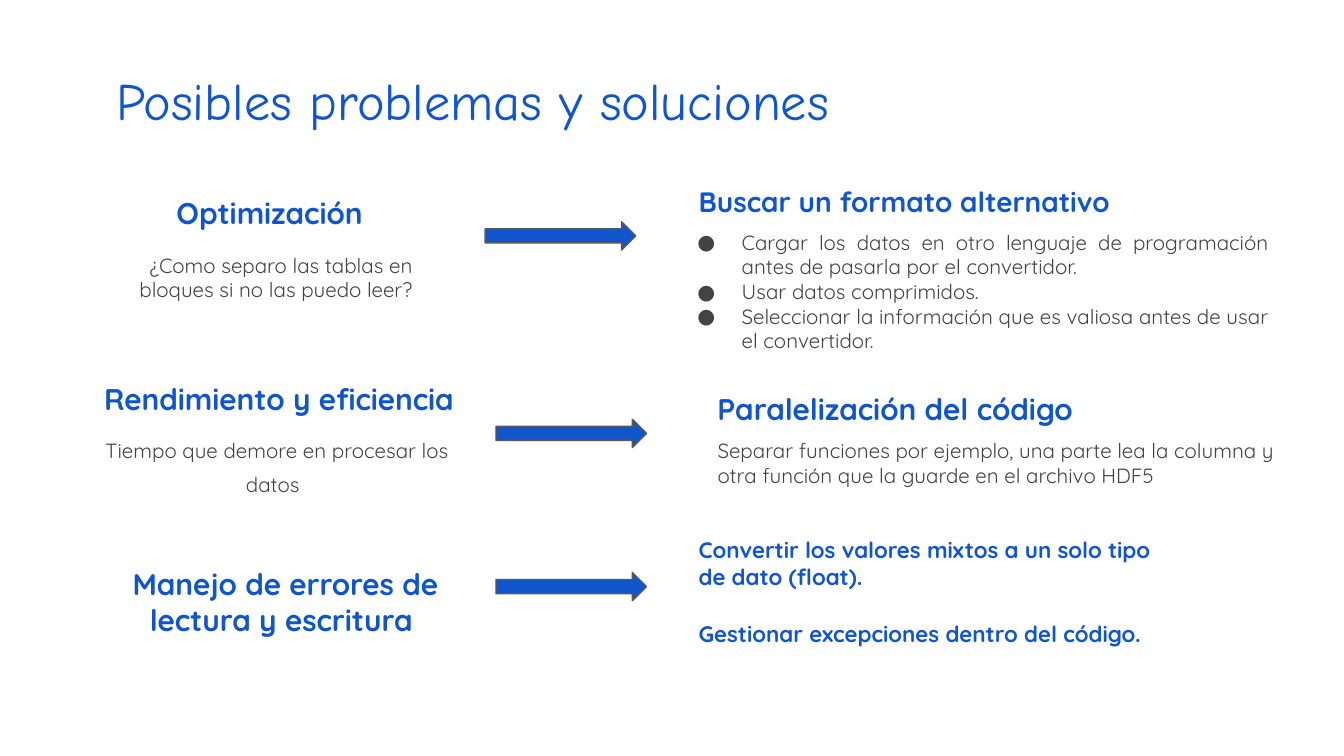
import pptx
import pptx.dml.color
import pptx.enum.shapes
import pptx.enum.text
import pptx.util
from lxml import etree
from pptx.util import Inches

BLUE, GRAY, OUTLINE = "1155CC", "434343", "595959"
ALIGN = pptx.enum.text.PP_ALIGN
DRAWING_NS = "http://schemas.openxmlformats.org/drawingml/2006/main"


def rgb(value):
    return pptx.dml.color.RGBColor.from_string(value)


def write_text(shape, text, size, color, align=ALIGN.LEFT, bold=False, font="Quicksand"):
    frame = shape.text_frame
    frame.text = text
    frame.word_wrap = True
    frame.auto_size = pptx.enum.text.MSO_AUTO_SIZE.NONE
    frame.vertical_anchor = pptx.enum.text.MSO_ANCHOR.TOP
    frame.margin_left = frame.margin_right = Inches(0.1)
    frame.margin_top = frame.margin_bottom = Inches(0.1)
    for paragraph in frame.paragraphs:
        paragraph.alignment = align
        for run in paragraph.runs:
            run.font.name = font
            run.font.size = pptx.util.Pt(size)
            run.font.bold = bold
            run.font.color.rgb = rgb(color)
    return frame.paragraphs


presentation = pptx.Presentation()
presentation.slide_width = Inches(10)
presentation.slide_height = Inches(10) * 9 // 16
slide = presentation.slides.add_slide(presentation.slide_layouts[5])

title = slide.shapes.title
title.left, title.top = Inches(0.77), Inches(0.41)
title.width, title.height = Inches(8.46), Inches(0.63)
write_text(title, "Posibles problemas y soluciones", 28, BLUE, font="Comic Neue")

# Headings: left, top, width, height, size, alignment, text
headings = [
    (0.46, 1.35, 2.4, 0.51, 16, ALIGN.RIGHT, "Optimización "),
    (0.41, 2.73, 3.13, 0.51, 16, ALIGN.RIGHT, "Rendimiento y eficiencia "),
    (0.56, 4.11, 3.13, 0.51, 16, ALIGN.CENTER, "Manejo de errores de lectura y escritura "),
    (5.1, 1.27, 3.3, 0.51, 15, ALIGN.LEFT, "Buscar un formato alternativo"),
    (5.24, 2.81, 3.63, 0.51, 16, ALIGN.LEFT, "Paralelización del código"),
]
for left, top, width, height, size, align, text in headings:
    heading = slide.shapes.add_textbox(Inches(left), Inches(top), Inches(width), Inches(height))
    write_text(heading, text, size, BLUE, align, bold=True)

optimization = slide.shapes.add_textbox(Inches(0.77), Inches(1.78), Inches(2.4), Inches(0.94))
write_text(optimization, "¿Como separo las tablas en bloques si no las puedo leer?",
           11, GRAY, ALIGN.RIGHT)

performance = slide.shapes.add_textbox(Inches(0.65), Inches(3.16), Inches(2.82), Inches(0.99))
performance_text = write_text(performance, "Tiempo que demore en procesar los datos",
                              11, GRAY, ALIGN.CENTER)[0]
# The larger closing space makes the last line taller
closing_space = performance_text.add_run()
closing_space.text = " "
closing_space.font.name = "Quicksand"
closing_space.font.size = pptx.util.Pt(16)

parallelization = slide.shapes.add_textbox(Inches(5.24), Inches(3.16), Inches(4.48), Inches(0.99))
write_text(parallelization, "Separar funciones por ejemplo, una parte lea la columna y "
           "otra función que la guarde en el archivo HDF5", 11, GRAY)

alternatives = slide.shapes.add_textbox(Inches(4.92), Inches(1.61), Inches(4.62), Inches(1.29))
alternative_items = write_text(alternatives, "\n".join([
    "Cargar los datos en otro lenguaje de programación antes de pasarla por el convertidor.",
    "Usar datos comprimidos.",
    "Seleccionar la información que es valiosa antes de usar el convertidor. ",
]), 11, GRAY, ALIGN.JUSTIFY)
for item in alternative_items:
    properties = item._p.get_or_add_pPr()
    properties.set("marL", str(Inches(0.5)))
    properties.set("indent", str(Inches(-0.33)))
    bullet_color = etree.SubElement(properties, f"{{{DRAWING_NS}}}buClr")
    etree.SubElement(bullet_color, f"{{{DRAWING_NS}}}srgbClr", val=GRAY)
    etree.SubElement(properties, f"{{{DRAWING_NS}}}buSzPts", val="1100")
    etree.SubElement(properties, f"{{{DRAWING_NS}}}buFont", typeface="Quicksand")
    etree.SubElement(properties, f"{{{DRAWING_NS}}}buChar", char="●")

error_handling = slide.shapes.add_textbox(Inches(5.1), Inches(3.89), Inches(3.63), Inches(1.31))
error_solutions = write_text(
    error_handling,
    "Convertir los valores mixtos a un solo tipo de dato (float).\n"
    "Gestionar excepciones dentro del código.", 12, BLUE, bold=True)
error_solutions[1].space_before = pptx.util.Pt(16)

for left, top in [(3.61, 1.65), (3.69, 3.12), (3.69, 4.26)]:
    arrow = slide.shapes.add_shape(pptx.enum.shapes.MSO_SHAPE.RIGHT_ARROW,
                                   Inches(left), Inches(top), Inches(1.12), Inches(0.21))
    arrow.shadow.inherit = False
    arrow.fill.solid()
    arrow.fill.fore_color.rgb = rgb(BLUE)
    arrow.line.color.rgb = rgb(OUTLINE)
    arrow.line.width = pptx.util.Pt(0.75)

presentation.save("out.pptx")
